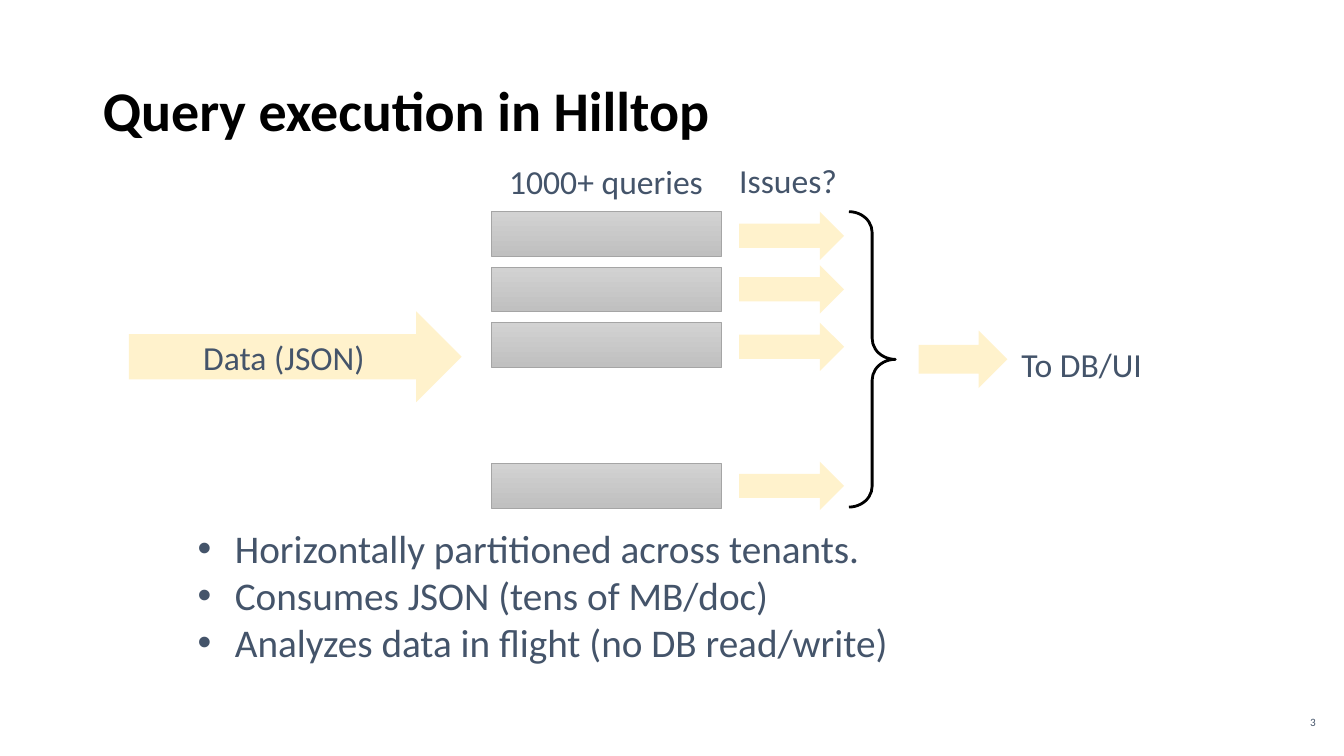
from pptx import Presentation
from pptx import util as u
from pptx.dml.color import RGBColor
from pptx.enum import shapes, text

WIDE, HIGH = u.Inches(13.33), u.Inches(7.5)
COL, ROW = WIDE / 100, HIGH / 100  # the slide is a grid of 100 by 100

BLACK = RGBColor(0x00, 0x00, 0x00)
SLATE = RGBColor(0x44, 0x54, 0x6A)
CREAM = RGBColor(0xFF, 0xF2, 0xCC)
LIGHT = RGBColor(0xD2, 0xD2, 0xD2)
SHADE = RGBColor(0xC0, 0xC0, 0xC0)
EDGE = RGBColor(0xA5, 0xA5, 0xA5)

FONT = "Calibri"
KIND = shapes.MSO_SHAPE
ALIGN = text.PP_ALIGN
POINTS = (
    "Horizontally partitioned across tenants.",
    "Consumes JSON (tens of MB/doc)",
    "Analyzes data in flight (no DB read/write)",
)


def scale(box):
    """Turn columns and rows into slide lengths."""
    x, y, w, h = box
    return [round(n) for n in (x * COL, y * ROW, w * COL, h * ROW)]


def place(shape, box):
    shape.left, shape.top, shape.width, shape.height = scale(box)


def style(frame, size, color=SLATE, bold=False, align=ALIGN.LEFT, space=1.0):
    for para in frame.paragraphs:
        para.alignment = align
        para.line_spacing = space
        for run in para.runs:
            font = run.font
            font.name, font.size, font.bold = FONT, u.Pt(size), bold
            font.color.rgb = color


def label(slide, box, words, size=24, align=ALIGN.LEFT, space=1.3):
    frame = slide.shapes.add_textbox(*scale(box)).text_frame
    frame.margin_left = frame.margin_right = 0
    frame.margin_top = frame.margin_bottom = 0
    frame.word_wrap = False
    frame.text = words
    style(frame, size, align=align, space=space)
    return frame


def form(slide, kind, box):
    shape = slide.shapes.add_shape(kind, *scale(box))
    shape.shadow.inherit = False
    return shape


def arrow(slide, box):
    shape = form(slide, KIND.RIGHT_ARROW, box)
    shape.fill.solid()
    shape.fill.fore_color.rgb = CREAM
    shape.line.fill.background()
    return shape


def bar(slide, box):
    shape = form(slide, KIND.RECTANGLE, box)
    shape.fill.gradient()
    shape.fill.gradient_angle = 270
    for stop, color in zip(shape.fill.gradient_stops, (LIGHT, SHADE)):
        stop.color.rgb = color
    shape.line.color.rgb = EDGE
    shape.line.width = u.Pt(0.5)


def title(slide, box):
    shape = slide.shapes.title
    place(shape, box)
    frame = shape.text_frame
    frame.text = "Query execution in Hilltop"
    frame.vertical_anchor = text.MSO_ANCHOR.MIDDLE
    style(frame, 40, BLACK, bold=True, space=0.9)


def source(slide, box):
    frame = arrow(slide, box).text_frame
    frame.text = "Data (JSON)"
    frame.vertical_anchor = text.MSO_ANCHOR.MIDDLE
    style(frame, 24, align=ALIGN.CENTER)
    frame.paragraphs[0].space_after = u.Pt(6)


def queries(slide, box):
    x, y, w, h = box
    label(slide, (x + 1.36, y - 8.27, 14.55, 6.4), "1000+ queries")
    tall = 5.87
    for drop in (0, 7.33, 14.67, h - tall):
        bar(slide, (x, y + drop, w, tall))


def issues(slide, box):
    x, y, w, h = box
    label(slide, (x, y - 8.4, 7.28, 6.4), "Issues?", align=ALIGN.CENTER)
    tall = 6.4
    for drop in (0, 7.07, 14.67, h - tall):
        arrow(slide, (x, y + drop, w, tall))


def output(slide, box):
    """Brace, arrow and label that lead to the final target."""
    x, y, w, h = box
    brace = form(slide, KIND.RIGHT_BRACE, (x, y, 3.45, h))
    brace.adjustments[0] = 0.45
    brace.fill.background()
    brace.line.color.rgb = BLACK
    brace.line.width = u.Pt(2)
    arrow(slide, (x + 5.18, y + 15.73, 6.6, 7.6))
    label(slide, (x + w - 9.08, y + 15.87, 9.08, 6.4), "To DB/UI")


def points(slide, box):
    body = slide.placeholders[1]
    place(body, box)
    frame = body.text_frame
    frame.word_wrap = False
    frame.auto_size = text.MSO_AUTO_SIZE.SHAPE_TO_FIT_TEXT
    frame.text = "\n".join(POINTS)
    dent = u.Inches(0.37)
    for para in frame.paragraphs:
        props = para._p.get_or_add_pPr()
        props.set("marL", str(dent))
        props.set("indent", str(-dent))
        para.space_before = u.Pt(0)
        para.font.color.rgb = SLATE
    style(frame, 28)


def number(slide, box):
    frame = label(slide, box, "3", 8, ALIGN.RIGHT, 0.9)
    frame.vertical_anchor = text.MSO_ANCHOR.MIDDLE


def main():
    deck = Presentation()
    deck.slide_width, deck.slide_height = WIDE, HIGH
    slide = deck.slides.add_slide(deck.slide_layouts[1])
    title(slide, (6.9, 5.33, 86.25, 19.33))
    source(slide, (9.6, 41.2, 24.75, 12))
    queries(slide, (36.53, 28, 17.18, 39.2))
    issues(slide, (55, 28, 7.8, 39.47))
    output(slide, (63.17, 28, 21.9, 39.07))
    points(slide, (13.95, 68.67, 53.4, 20.13))
    number(slide, (94.3, 94.27, 3.6, 2.67))
    deck.save("out.pptx")


if __name__ == "__main__":
    main()
